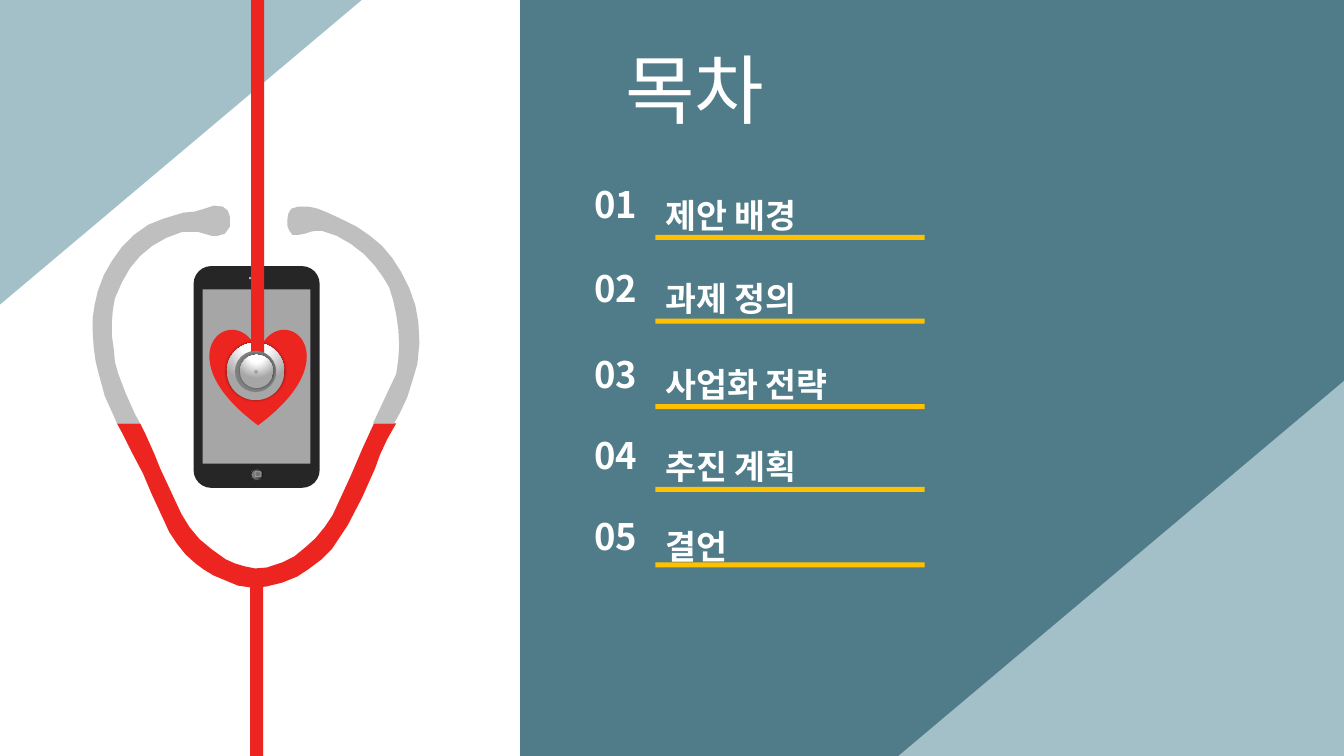
from dataclasses import dataclass
from typing import Optional

import pptx
import pptx.dml.color
import pptx.enum.shapes
import pptx.enum.text
import pptx.oxml
import pptx.oxml.ns
import pptx.util
from lxml import etree

PX = 9144  # EMU in one px: 100 px to the inch
FONT = "Noto Sans CJK KR"
WHITE, RED, SILVER, YELLOW = "FFFFFF", "ED2521", "BFBFBF", "FFC000"
TEAL, PALE, DARK, GRAY = "507C89", "A3C0C9", "262626", "A6A6A6"
KIND = pptx.enum.shapes.MSO_SHAPE
ALIGN = pptx.enum.text.PP_ALIGN
ANCHOR = pptx.enum.text.MSO_ANCHOR

Box = tuple[int, int, int, int]
Points = list[tuple[int, int]]


@dataclass
class Gradient:
    stops: list[tuple[int, str]]
    direction: str


@dataclass
class Part:
    kind: KIND
    box: Box
    fill: str | Gradient
    line: Optional[str] = None
    line_width: float = 0
    adjust: Optional[float] = None
    rotation: int = 0
    flip: str = ""
    shadow: bool = False


@dataclass
class Entry:
    number: str
    label: str
    top: int
    line_top: int


METAL = Gradient(
    [(0, WHITE), (35, WHITE), (100, GRAY)],
    '<a:path path="circle"><a:fillToRect l="50000" t="-80000" r="50000" b="180000"/></a:path>',
)
BUTTON = Gradient(
    [(0, "0F0F0F"), (56, "595959"), (91, "808080"), (100, SILVER)],
    '<a:lin ang="10800000" scaled="0"/>',
)

BACKDROP = [
    Part(KIND.ISOSCELES_TRIANGLE, (-1, -1, 361, 304), PALE, adjust=0, flip="flipV"),
    Part(KIND.RECTANGLE, (516, 0, 817, 750), TEAL),
    Part(KIND.ISOSCELES_TRIANGLE, (890, 378, 443, 373), PALE, adjust=0, flip="flipH"),
]
PHONE = [
    Part(KIND.ROUNDED_RECTANGLE, (192, 264, 125, 220), DARK, adjust=0.14),
    Part(KIND.RECTANGLE, (247, 275, 13, 2), "B0B0B0"),
    Part(KIND.OVAL, (249, 465, 13, 12), BUTTON, line=DARK),
    Part(KIND.ROUNDED_RECTANGLE, (253, 468, 6, 5), "737373", line="B0B0B0", line_width=0.5),
    Part(KIND.RECTANGLE, (201, 287, 107, 173), GRAY),
]
HEART_AND_CORD = [
    Part(KIND.HEART, (208, 326, 96, 96), RED),
    Part(KIND.RECTANGLE, (248, 570, 13, 180), RED),
    Part(KIND.OVAL, (225, 340, 57, 57), METAL, rotation=270, shadow=True),
]
UPPER_CORD = [Part(KIND.RECTANGLE, (249, -1, 13, 360), RED)]
CHEST_PIECE = [
    Part(KIND.OVAL, (233, 348, 41, 41), "808080"),
    Part(KIND.OVAL, (238, 352, 33, 33), METAL, rotation=270, shadow=True),
    Part(KIND.OVAL, (252, 367, 4, 4), GRAY),
]
ENTRIES = [
    Entry("01", "제안 배경", 188, 233),
    Entry("02", "과제 정의", 271, 316),
    Entry("03", "사업화 전략", 356, 401),
    Entry("04", "추진 계획", 437, 483),
    Entry("05", "결언", 517, 558),
]
TUBE = [
    (116, 420), (139, 420), (144, 430), (153, 450), (159, 465), (166, 480), (173, 495),
    (180, 510), (188, 523), (198, 535), (210, 545), (224, 555), (233, 559), (243, 562),
    (253, 564), (265, 563), (280, 558), (292, 552), (303, 543), (313, 534), (322, 523),
    (330, 511), (336, 498), (348, 472), (360, 444), (371, 420), (393, 420), (384, 436),
    (377, 451), (372, 465), (359, 494), (345, 521), (337, 533), (329, 545), (319, 555),
    (307, 564), (295, 572), (280, 578), (264, 582), (250, 583), (236, 581), (224, 576),
    (212, 571), (202, 565), (194, 559), (184, 550), (176, 540), (168, 528), (162, 515),
    (150, 489), (142, 470), (132, 451), (122, 431),
]
RIGHT_EARPIECE = [
    (296, 205), (306, 205), (315, 207), (325, 211), (342, 219), (354, 225), (367, 234),
    (379, 244), (389, 256), (398, 270), (406, 286), (412, 303), (415, 320), (416, 340),
    (414, 361), (409, 378), (404, 394), (397, 409), (391, 420), (370, 420), (393, 371),
    (395, 357), (396, 342), (395, 326), (393, 312), (390, 298), (386, 285), (380, 275),
    (372, 264), (361, 252), (348, 242), (334, 234), (319, 229), (313, 229), (308, 230),
    (302, 232), (296, 233), (290, 233), (287, 229), (285, 224), (285, 218), (286, 212),
    (289, 207),
]
LEFT_EARPIECE = [
    (212, 204), (221, 205), (226, 209), (228, 215), (228, 225), (223, 232), (216, 234),
    (210, 234), (196, 230), (181, 230), (165, 236), (151, 244), (139, 254), (129, 266),
    (121, 280), (114, 296), (112, 307), (111, 320), (111, 333), (113, 347), (114, 359),
    (117, 370), (125, 391), (134, 411), (139, 420), (116, 420), (113, 413), (104, 393),
    (98, 371), (95, 359), (93, 345), (92, 330), (92, 315), (94, 302), (97, 289),
    (103, 273), (111, 259), (121, 245), (133, 233), (147, 223), (162, 217), (172, 214),
    (182, 211), (193, 210), (203, 207),
]


def color(hex_value: str) -> pptx.dml.color.RGBColor:
    return pptx.dml.color.RGBColor.from_string(hex_value)


def emu(box: Box) -> list[int]:
    return [length * PX for length in box]


def paint(shape, fill: str | Gradient) -> None:
    shape.shadow.inherit = False
    shape.line.fill.background()
    if isinstance(fill, str):
        shape.fill.solid()
        shape.fill.fore_color.rgb = color(fill)
        return
    stops = "".join(
        f'<a:gs pos="{position * 1000}"><a:srgbClr val="{value}"/></a:gs>'
        for position, value in fill.stops
    )
    gradient = pptx.oxml.parse_xml(
        f'<a:gradFill {pptx.oxml.ns.nsdecls("a")} rotWithShape="1">'
        f"<a:gsLst>{stops}</a:gsLst>{fill.direction}</a:gradFill>"
    )
    shape._element.spPr.find(pptx.oxml.ns.qn("a:prstGeom")).addnext(gradient)


def add_soft_shadow(shape) -> None:
    effects = shape._element.spPr.find(pptx.oxml.ns.qn("a:effectLst"))
    effects.append(pptx.oxml.parse_xml(
        f'<a:outerShdw {pptx.oxml.ns.nsdecls("a")} blurRad="25400" dist="0" dir="0">'
        '<a:srgbClr val="000000"><a:alpha val="40000"/></a:srgbClr></a:outerShdw>'
    ))


def draw_parts(shapes, parts: list[Part]) -> None:
    for part in parts:
        shape = shapes.add_shape(part.kind, *emu(part.box))
        paint(shape, part.fill)
        shape.rotation = part.rotation
        if part.adjust is not None:
            shape.adjustments[0] = part.adjust
        if part.line:
            shape.line.color.rgb = color(part.line)
            shape.line.width = pptx.util.Pt(part.line_width)
        if part.flip:
            shape._element.spPr.xfrm.set(part.flip, "1")
        if part.shadow:
            add_soft_shadow(shape)


def draw_outline(shapes, contours: list[Points], fill: str) -> None:
    builder = shapes.build_freeform(*contours[0][0], scale=PX)
    builder.add_line_segments(contours[0][1:])
    for contour in contours[1:]:
        builder.move_to(*contour[0])
        builder.add_line_segments(contour[1:])
    paint(builder.convert_to_shape(), fill)


def write(frame, text: str, size: int, bold: bool, align: ALIGN) -> None:
    frame.word_wrap = True
    para = frame.paragraphs[0]
    para.text, para.alignment = text, align
    font = para.font
    font.name, font.size, font.bold = FONT, pptx.util.Pt(size), bold
    font.color.rgb = color(WHITE)
    properties = para._p.pPr.find(pptx.oxml.ns.qn("a:defRPr"))
    etree.SubElement(properties, pptx.oxml.ns.qn("a:ea"), typeface=FONT)


def add_text(shapes, box: Box, text: str, size: int, align: ALIGN) -> None:
    frame = shapes.add_textbox(*emu(box)).text_frame
    frame.margin_left = frame.margin_right = 12 * PX
    write(frame, text, size, True, align)


def draw_title(page) -> None:
    title = page.shapes.title
    title.left, title.top, title.width, title.height = emu((610, 37, 347, 101))
    title.text_frame.vertical_anchor = ANCHOR.MIDDLE
    write(title.text_frame, "목차", 54, False, ALIGN.LEFT)
    page.shapes._spTree.append(title._element)  # bring in front of the panel


def main() -> None:
    deck = pptx.Presentation()
    deck.slide_width, deck.slide_height = 1333 * PX, 750 * PX
    page = deck.slides.add_slide(deck.slide_layouts[5])
    draw_parts(page.shapes, BACKDROP)
    draw_parts(page.shapes.add_group_shape().shapes, PHONE)
    draw_parts(page.shapes, HEART_AND_CORD)
    draw_outline(page.shapes, [TUBE], RED)
    draw_outline(page.shapes, [RIGHT_EARPIECE, LEFT_EARPIECE], SILVER)
    draw_parts(page.shapes, UPPER_CORD)
    draw_parts(page.shapes.add_group_shape().shapes, CHEST_PIECE)
    draw_title(page)
    for entry in ENTRIES:
        row = page.shapes.add_group_shape().shapes
        add_text(row, (648, entry.top, 493, 50), entry.label, 24, ALIGN.LEFT)
        add_text(row, (558, entry.top - 12, 105, 54), entry.number, 26, ALIGN.CENTER)
        draw_parts(page.shapes, [Part(KIND.RECTANGLE, (650, entry.line_top, 267, 5), YELLOW)])
    deck.save("out.pptx")


if __name__ == "__main__":
    main()
